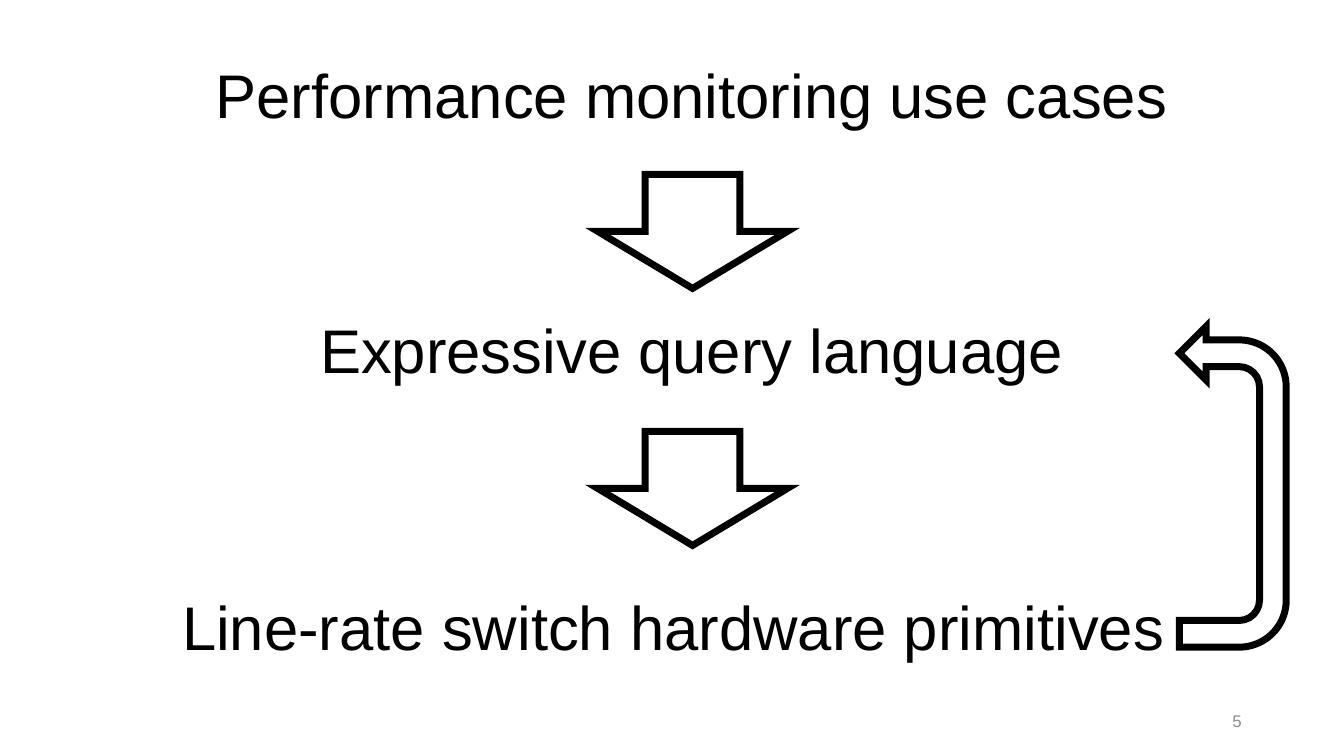
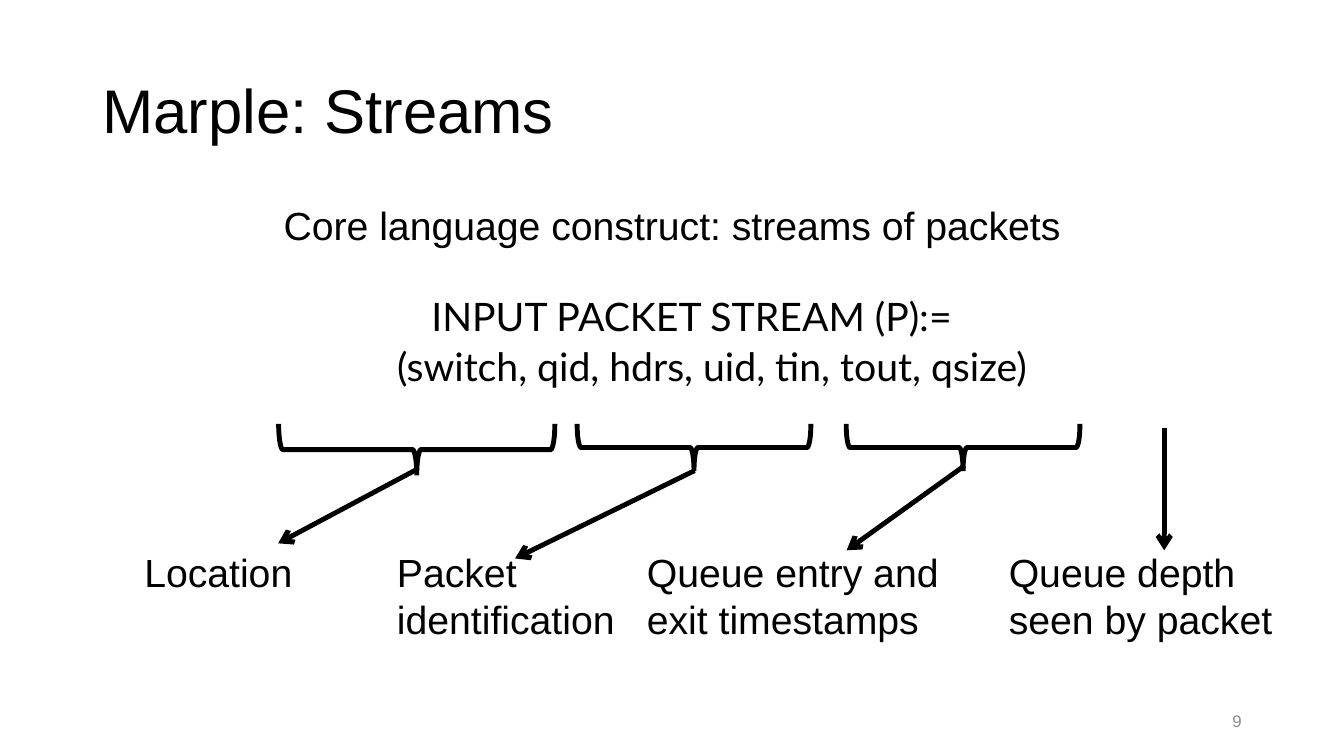
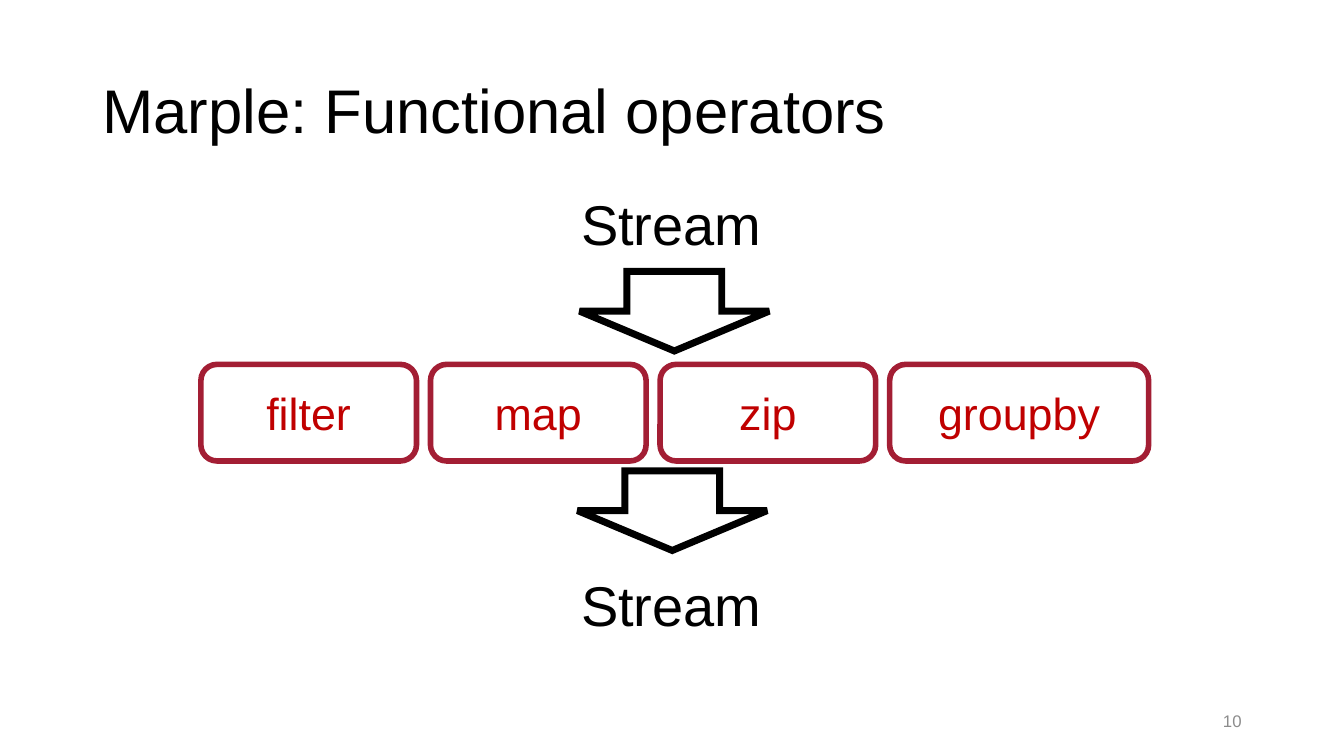
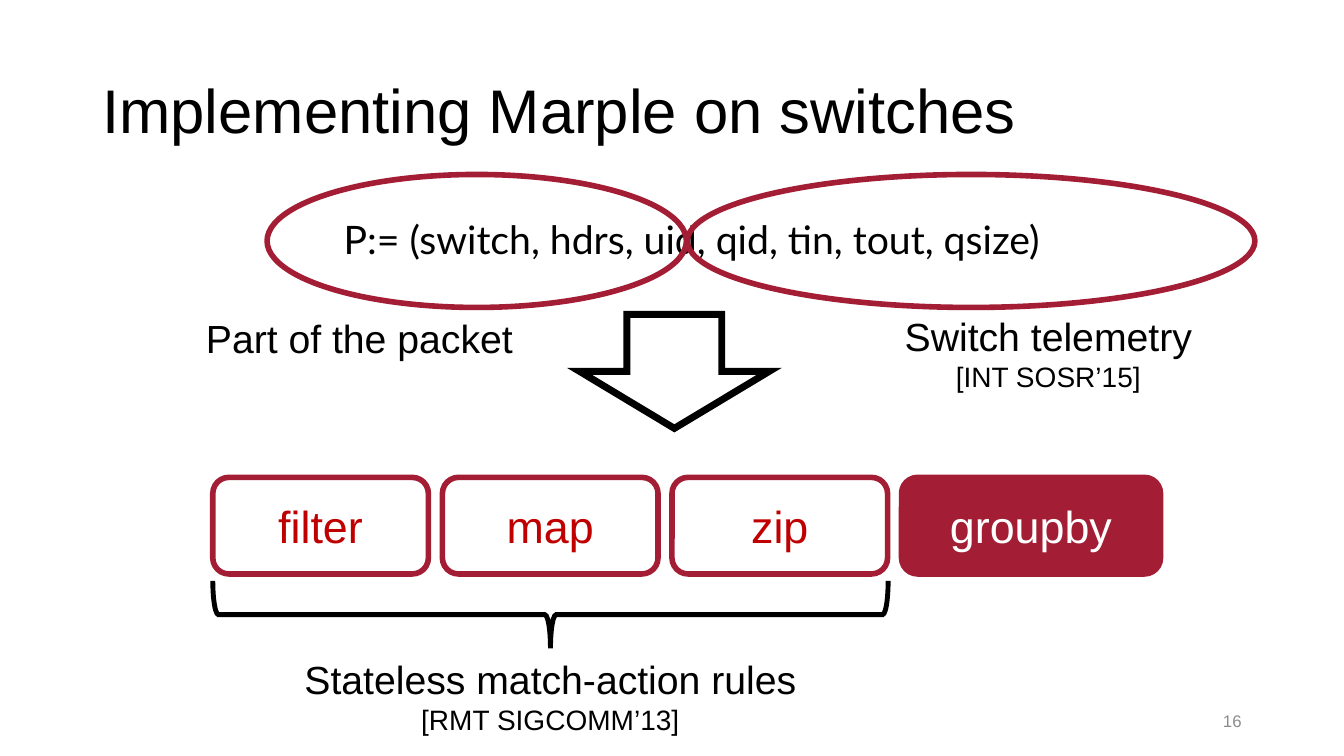
from lxml import etree
from pptx import Presentation
from pptx.dml.color import RGBColor
from pptx.enum.shapes import MSO_CONNECTOR, MSO_SHAPE
from pptx.enum.text import MSO_ANCHOR, PP_ALIGN
from pptx.oxml.ns import qn
from pptx.util import Pt

DOWN, UTURN = MSO_SHAPE.DOWN_ARROW, MSO_SHAPE.U_TURN_ARROW
BRACE, OVAL = MSO_SHAPE.RIGHT_BRACE, MSO_SHAPE.OVAL
ROUND, LINE = MSO_SHAPE.ROUNDED_RECTANGLE, MSO_CONNECTOR.STRAIGHT
LEFT, MID, RIGHT = PP_ALIGN.LEFT, PP_ALIGN.CENTER, PP_ALIGN.RIGHT
TOP, CENTER = MSO_ANCHOR.TOP, MSO_ANCHOR.MIDDLE

BLACK = RGBColor(0, 0, 0)
WHITE = RGBColor(0xFF, 0xFF, 0xFF)
GRAY = RGBColor(0x8C, 0x8C, 0x8C)
WINE = RGBColor(0xA3, 0x1E, 0x34)
RED = RGBColor(0xC0, 0, 0)
SANS, CODE = "Arial", "Lato"
WIDE, HIGH = 960, 540


def write(frame, text, size, color=BLACK, align=LEFT, font=SANS,
          space=1.0, before=0, inset=0, more=False):
    """Write one paragraph, after the earlier ones if more is set."""
    para = frame.add_paragraph() if more else frame.paragraphs[0]
    para.alignment = align
    para.line_spacing = space
    para.space_before = Pt(before)
    if inset:
        para._p.get_or_add_pPr().set("marL", str(Pt(inset)))
    run = para.add_run()
    run.text = text
    run.font.size = Pt(size)
    run.font.name = font
    run.font.color.rgb = color


def panel(slide, box, anchor=TOP):
    """Add a wrapping text box and return its frame."""
    frame = slide.shapes.add_textbox(*map(Pt, box)).text_frame
    frame.word_wrap = True
    frame.vertical_anchor = anchor
    return frame


def label(slide, box, text, size=28, align=MID, note=None):
    """Add a label with an optional small note below it."""
    frame = panel(slide, box)
    write(frame, text, size, align=align)
    if note:
        write(frame, note, 20, align=align, more=True)


def stroke(item, color, width):
    """Set the outline and return its element."""
    item.line.color.rgb = color
    item.line.width = Pt(width)
    return item._element.spPr.find(qn("a:ln"))


def shape(slide, kind, box, color=BLACK, width=5, fill=None):
    """Add an outlined preset shape with sharp corners."""
    item = slide.shapes.add_shape(kind, *map(Pt, box))
    item.shadow.inherit = False
    if fill is None:
        item.fill.background()
    else:
        item.fill.solid()
        item.fill.fore_color.rgb = fill
    line = stroke(item, color, width)
    etree.SubElement(line, qn("a:miter")).set("lim", "800000")
    return item


def arrow(slide, x, y, x2, y2):
    """Draw a line with an open head at its end."""
    item = slide.shapes.add_connector(LINE, Pt(x), Pt(y), Pt(x2), Pt(y2))
    line = stroke(item, BLACK, 3.5)
    etree.SubElement(line, qn("a:tailEnd")).set("type", "arrow")
    etree.SubElement(item._element.spPr, qn("a:effectLst"))


def brace(slide, x, y, wide, high):
    """Draw a brace that opens upward and fills the given box."""
    left, top = x + (wide - high) / 2, y + (high - wide) / 2
    item = shape(slide, BRACE, (left, top, high, wide), width=3.5)
    item.rotation = 90


def start(deck, num, title=None):
    """Add a blank slide with its number and title."""
    slide = deck.slides.add_slide(deck.slide_layouts[6])
    foot = panel(slide, (678, 500.4, 216, 28.8), CENTER)
    write(foot, str(num), 12, GRAY, RIGHT)
    if title:
        head = panel(slide, (66, 28.8, 828, 104.4), CENTER)
        write(head, title, 44, space=0.9)
    return slide


def ops(slide, x, y, solid=False):
    """Draw the row of four operators, the last one solid on request."""
    for i, name in enumerate(("filter", "map", "zip", "groupby")):
        last = i == 3
        full = last and solid
        box = (x + 164 * i, y, 185 if last else 154, 69)
        item = shape(slide, ROUND, box, WINE, 4, WINE if full else None)
        item.text_frame.vertical_anchor = CENTER
        write(item.text_frame, name, 32, WHITE if full else RED, MID)


def layers(slide, x, y):
    """Stack the three layers with arrows between and a loop back."""
    rows = ((0, 0, "Performance monitoring use cases"),
            (0, 182, "Expressive query language"),
            (-13, 380, "Line-rate switch hardware primitives"))
    for dx, dy, text in rows:
        label(slide, (x + dx, y + dy, 847.4, 60.5), text, 44)
    for dy in (87.2, 270.8):
        shape(slide, DOWN, (x + 356.4, y + dy, 135.4, 81.4))
    loop = shape(slide, UTURN, (x + 695.5, y + 272.2, 229, 76.3))
    for i, part in enumerate((0.25, 0.25, 0.25, 0.44, 1)):
        loop.adjustments[i] = part
    loop.rotation = 270
    loop._element.spPr.find(qn("a:xfrm")).set("flipV", "1")


def stream(slide, x, y):
    """Write the stream definition."""
    frame = panel(slide, (x, y, 828, 150))
    write(frame, "Core language construct: streams of packets", 28,
          align=MID, space=0.9)
    write(frame, "INPUT PACKET STREAM (P):=", 28, align=MID, font=CODE,
          space=0.9, before=35, inset=28, more=True)
    write(frame, "(switch, qid, hdrs, uid, tin, tout, qsize)", 28, align=MID,
          font=CODE, space=0.9, before=5, inset=57, more=True)


def fields(slide, x, y):
    """Explain the fields with braces, arrows and labels."""
    for dx, wide, high in ((103, 197.3, 36.7), (316.2, 167, 33.8),
                           (508.4, 167, 33.8)):
        brace(slide, x + dx, y, wide, high)
    for x1, y1, x2, y2 in ((201.4, 32.7, 102.7, 85.3),
                           (400.1, 33.4, 271.9, 96.1),
                           (593, 29.8, 508.8, 90.3),
                           (735.6, 3.2, 735.6, 90.3)):
        arrow(slide, x + x1, y + y1, x + x2, y + y2)
    for dx, wide, text in ((0, 156.2, "Location"),
                           (180.5, 182.9, "Packet identification"),
                           (359, 231.1, "Queue entry and exit timestamps"),
                           (617.5, 231.1, "Queue depth seen by packet")):
        label(slide, (x + dx, y + 85.3, wide, 75), text, align=LEFT)


def pipe(slide, x, y):
    """Show the operators between two streams."""
    for dy in (0, 272.2):
        label(slide, (x + 256, y + dy, 160, 55.4), "Stream", 40)
    for dx, dy in ((270.5, 62), (269, 204.5)):
        shape(slide, DOWN, (x + dx, y + dy, 135.4, 56.9))
    ops(slide, x, y + 128.5)


def source(slide, x, y):
    """Circle the two parts of the packet stream and name them."""
    frame = panel(slide, (x - 52.8, y + 25.9, 828, 41))
    write(frame, "P:= (switch, hdrs, uid, qid, tin, tout, qsize)", 28,
          align=MID, font=CODE, inset=28)
    for dx, wide in ((72, 299.5), (372.2, 405.4)):
        shape(slide, OVAL, (x + dx, y, wide, 95), WINE, 4)
    label(slide, (x, y + 96.5, 275.8, 41), "Part of the packet")
    label(slide, (x + 427.7, y + 95, 404.6, 65.5), "Switch telemetry",
          note="[INT SOSR’15]")


def rules(slide, x, y):
    """Show the operators and brace the stateless ones."""
    ops(slide, x, y, True)
    brace(slide, x, y + 74, 482.4, 48.2)
    label(slide, (x - 33.2, y + 123.4, 548.6, 68),
          "Stateless match-action rules", note="[RMT SIGCOMM’13]")


def main():
    """Build the four slides and save them."""
    deck = Presentation()
    deck.slide_width, deck.slide_height = Pt(WIDE), Pt(HIGH)
    layers(start(deck, 5), 70.6, 37.4)

    slide = start(deck, 9, "Marple: Streams")
    stream(slide, 66, 144)
    fields(slide, 96, 302.8)

    pipe(start(deck, 10, "Marple: Functional operators"), 143.5, 131.8)

    slide = start(deck, 16, "Implementing Marple on switches")
    source(slide, 118.8, 124.6)
    shape(slide, DOWN, (414, 224.6, 135.4, 81.4))
    rules(slide, 152, 341)
    deck.save("out.pptx")


if __name__ == "__main__":
    main()
